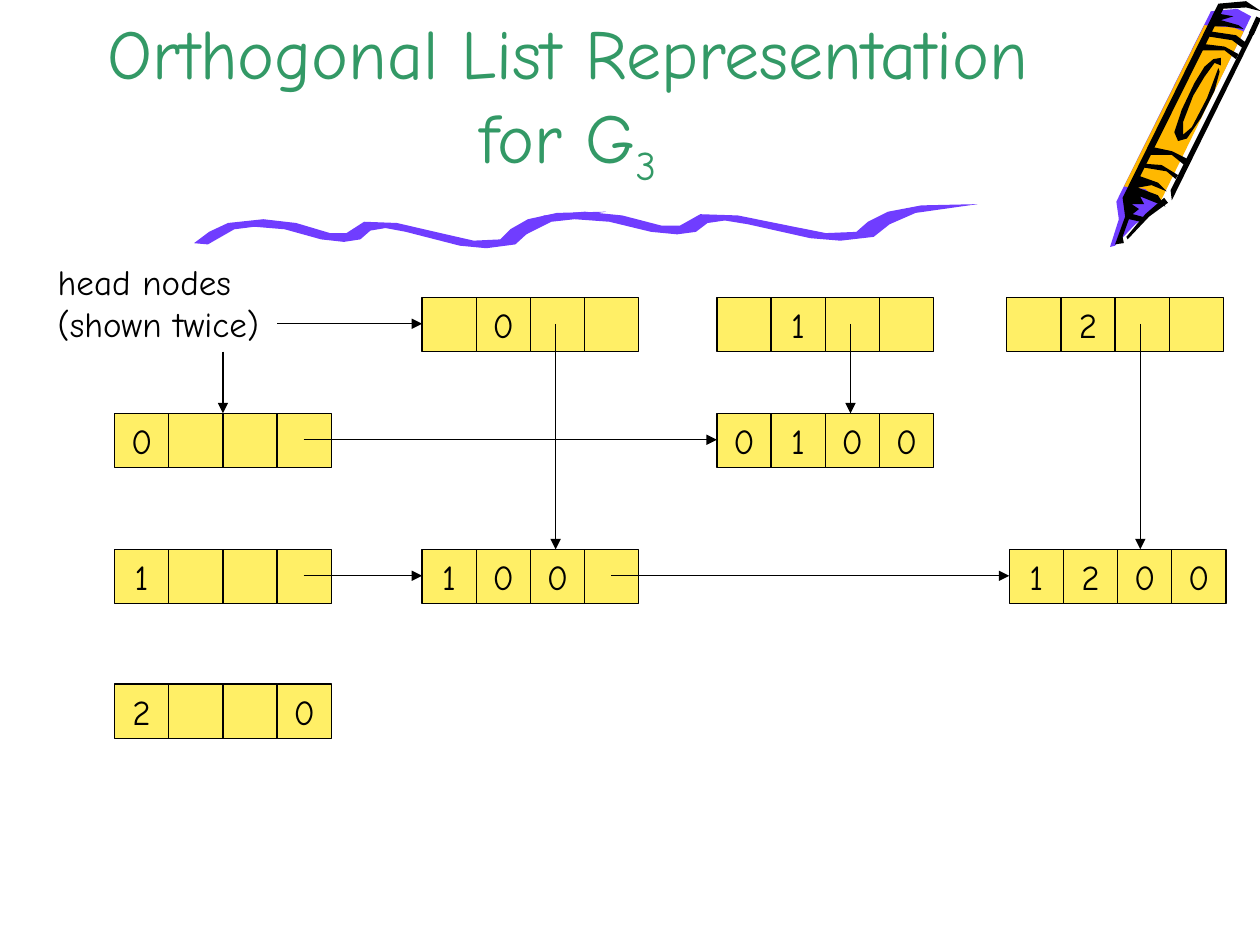
import dataclasses

import pptx
import pptx.dml.color
import pptx.enum.shapes
import pptx.enum.text
import pptx.oxml
import pptx.oxml.ns
import pptx.util

Inches = pptx.util.Inches
Align = pptx.enum.text.PP_ALIGN
Anchor = pptx.enum.text.MSO_ANCHOR


@dataclasses.dataclass(frozen=True)
class Theme:
    font: str = "Comic Neue"
    title: str = "339966"
    ink: str = "000000"
    cell: str = "FFEF66"
    purple: str = "703DFF"
    amber: str = "FFB800"
    title_size: float = 40
    body_size: float = 20
    rule: float = 0.75
    pen_rule: float = 3


THEME = Theme()

PEN_BODY = [(113, 13), (37, 166), (21, 178), (5, 195), (1, 196), (8, 174),
            (6, 160), (81, 9), (102, 7)]
PEN_BARREL = [(41, 160), (29, 150), (12, 148), (76, 20), (99, 22), (107, 25)]
PEN_INK = [
    [(47, 161), (32, 172), (15, 190), (14, 188), (29, 170), (44, 157)],
    [(107, 23), (93, 21), (81, 21), (88, 11), (99, 13), (89, 16), (103, 20)],
    [(88, 57), (84, 72), (73, 94), (62, 110), (55, 112), (52, 105), (58, 87),
     (68, 66), (76, 53), (83, 47), (89, 46), (89, 52), (84, 50), (76, 61),
     (67, 76), (59, 97), (59, 107), (66, 101), (78, 78), (87, 54)],
    [(117, 23), (50, 159), (49, 151), (113, 23)],
    [(45, 164), (39, 155), (23, 149), (34, 147), (46, 152), (39, 145),
     (25, 140), (91, 7), (109, 6), (121, 9), (109, 1), (87, 3), (11, 157),
     (13, 172), (5, 194), (12, 193), (11, 188), (16, 174), (25, 176),
     (30, 173), (19, 170), (24, 166), (18, 162), (28, 162), (25, 156)],
    [(53, 142), (46, 136), (28, 133), (29, 130), (42, 131), (55, 139)],
    [(60, 131), (50, 123), (33, 123), (36, 117), (50, 120), (62, 126)],
    [(101, 47), (92, 40), (73, 40), (76, 35), (92, 37), (103, 43)],
    [(106, 38), (98, 32), (79, 29), (81, 25), (101, 28), (109, 34)],
]
WAVE = [(11, 26), (32, 14), (48, 12), (72, 14), (101, 22), (119, 24),
        (132, 22), (140, 15), (152, 13), (168, 16), (211, 27), (232, 29),
        (255, 26), (266, 16), (284, 7), (327, 0), (288, 1), (265, 6),
        (251, 14), (243, 22), (222, 23), (200, 18), (161, 9), (135, 8),
        (121, 17), (108, 17), (81, 9), (55, 6), (27, 9), (12, 16), (0, 25)]

CELL = 0.43
DOWN_FIELD = 1.06
RIGHT_FIELD = 1.5
MIDDLE = 0.21
COLUMNS = (0, 2.44, 4.78, 7.08)
LAST_NODE = 7.1
ROWS = (0, 0.92, 2, 3.07)


def rgb(code):
    return pptx.dml.color.RGBColor.from_string(code)


def write(frame, text, size=THEME.body_size, color=THEME.ink,
          align=Align.LEFT, anchor=Anchor.TOP, wrap=True, subscript=""):
    frame.auto_size = pptx.enum.text.MSO_AUTO_SIZE.NONE
    frame.word_wrap = wrap
    frame.vertical_anchor = anchor
    paragraph = frame.paragraphs[0]
    paragraph.alignment = align
    for part in filter(None, (text, subscript)):
        run = paragraph.add_run()
        run.text = part
        run.font.name = THEME.font
        run.font.size = pptx.util.Pt(size)
        run.font.color.rgb = rgb(color)
    if subscript:
        run._r.get_or_add_rPr().set("baseline", "-25000")


def outline(slide, left, top, points, color, scale=Inches(0.01)):
    builder = slide.shapes.build_freeform(*points[0], scale=scale)
    builder.add_line_segments(points[1:], close=True)
    figure = builder.convert_to_shape(Inches(left), Inches(top))
    figure.shadow.inherit = False
    figure.fill.solid()
    figure.fill.fore_color.rgb = rgb(color)
    figure.line.fill.background()


def stroke(slide, start, end, width=THEME.rule, arrow=True):
    line = slide.shapes.add_connector(
        pptx.enum.shapes.MSO_CONNECTOR.STRAIGHT,
        *(Inches(value) for value in (*start, *end)))
    line.line.color.rgb = rgb(THEME.ink)
    line.line.width = pptx.util.Pt(width)
    properties = line._element.spPr
    if arrow:
        head = pptx.oxml.parse_xml(
            f'<a:tailEnd {pptx.oxml.ns.nsdecls("a")} type="triangle"/>')
        line.line._get_or_add_ln().append(head)
    properties.append(pptx.oxml.parse_xml(
        f'<a:effectLst {pptx.oxml.ns.nsdecls("a")}/>'))


def draw_pen(slide, left, top):
    outline(slide, left, top, PEN_BODY, THEME.purple)
    outline(slide, left, top, PEN_BARREL, THEME.amber)
    for points in PEN_INK:
        outline(slide, left, top, points, THEME.ink)
    stroke(slide, (left + 1.19, top + 0.14), (left + 1.13, top + 0.27),
           width=THEME.pen_rule, arrow=False)


def draw_wave(slide, left, top, width, height):
    scale = (Inches(width) / 327, Inches(height) / 29)
    outline(slide, left, top, WAVE, THEME.purple, scale=scale)


def draw_title(slide, left, top, width, height):
    title = slide.shapes.title
    title.left, title.top = Inches(left), Inches(top)
    title.width, title.height = Inches(width), Inches(height)
    write(title.text_frame, "Orthogonal List Representation for G",
          size=THEME.title_size, color=THEME.title, align=Align.CENTER,
          anchor=Anchor.BOTTOM, subscript="3")


def draw_node(slide, left, top, fields):
    for index, value in enumerate(fields):
        cell = slide.shapes.add_shape(
            pptx.enum.shapes.MSO_SHAPE.RECTANGLE,
            Inches(left + index * CELL), Inches(top),
            Inches(CELL), Inches(CELL))
        cell.shadow.inherit = False
        cell.fill.solid()
        cell.fill.fore_color.rgb = rgb(THEME.cell)
        cell.line.color.rgb = rgb(THEME.ink)
        cell.line.width = pptx.util.Pt(THEME.rule)
        if value:
            write(cell.text_frame, value, align=Align.CENTER,
                  anchor=Anchor.MIDDLE, wrap=False)


def draw_lists(slide, left, top):
    row_heads, first, second, third = COLUMNS
    column_heads, row_0, row_1, row_2 = ROWS
    nodes = [
        (row_heads, row_0, ("0", "", "", "")),
        (row_heads, row_1, ("1", "", "", "")),
        (row_heads, row_2, ("2", "", "", "0")),
        (first, column_heads, ("", "0", "", "")),
        (second, column_heads, ("", "1", "", "")),
        (third, column_heads, ("", "2", "", "")),
        (second, row_0, ("0", "1", "0", "0")),
        (first, row_1, ("1", "0", "0", "")),
        (LAST_NODE, row_1, ("1", "2", "0", "0")),
    ]
    for x, y, fields in nodes:
        draw_node(slide, left + x, top + y, fields)

    for column, row in ((first, row_1), (second, row_0), (third, row_1)):
        x = left + column + DOWN_FIELD
        stroke(slide, (x, top + MIDDLE), (x, top + row))
    for start, end, row in ((row_heads, second, row_0),
                            (row_heads, first, row_1),
                            (first, LAST_NODE, row_1)):
        y = top + row + MIDDLE
        stroke(slide, (left + start + RIGHT_FIELD, y), (left + end, y))

    label = slide.shapes.add_textbox(
        Inches(left - 0.55), Inches(top - 0.34), Inches(1.96), Inches(0.77))
    write(label.text_frame, "head nodes (shown twice)")
    stroke(slide, (left + 2 * CELL, top + CELL), (left + 2 * CELL, top + row_0))
    stroke(slide, (left + 3 * CELL, top + MIDDLE), (left + first, top + MIDDLE))


def main():
    deck = pptx.Presentation()
    deck.slide_width, deck.slide_height = Inches(10), Inches(7.5)
    slide = deck.slides.add_slide(deck.slide_layouts[5])
    draw_pen(slide, 8.8, 0)
    draw_wave(slide, 1.54, 1.68, 3.27, 0.29)
    draw_wave(slide, 4.01, 1.62, 3.75, 0.29)
    draw_title(slide, 0.75, 0, 7.51, 1.55)
    draw_lists(slide, 0.91, 2.36)
    deck.save("out.pptx")


if __name__ == "__main__":
    main()
